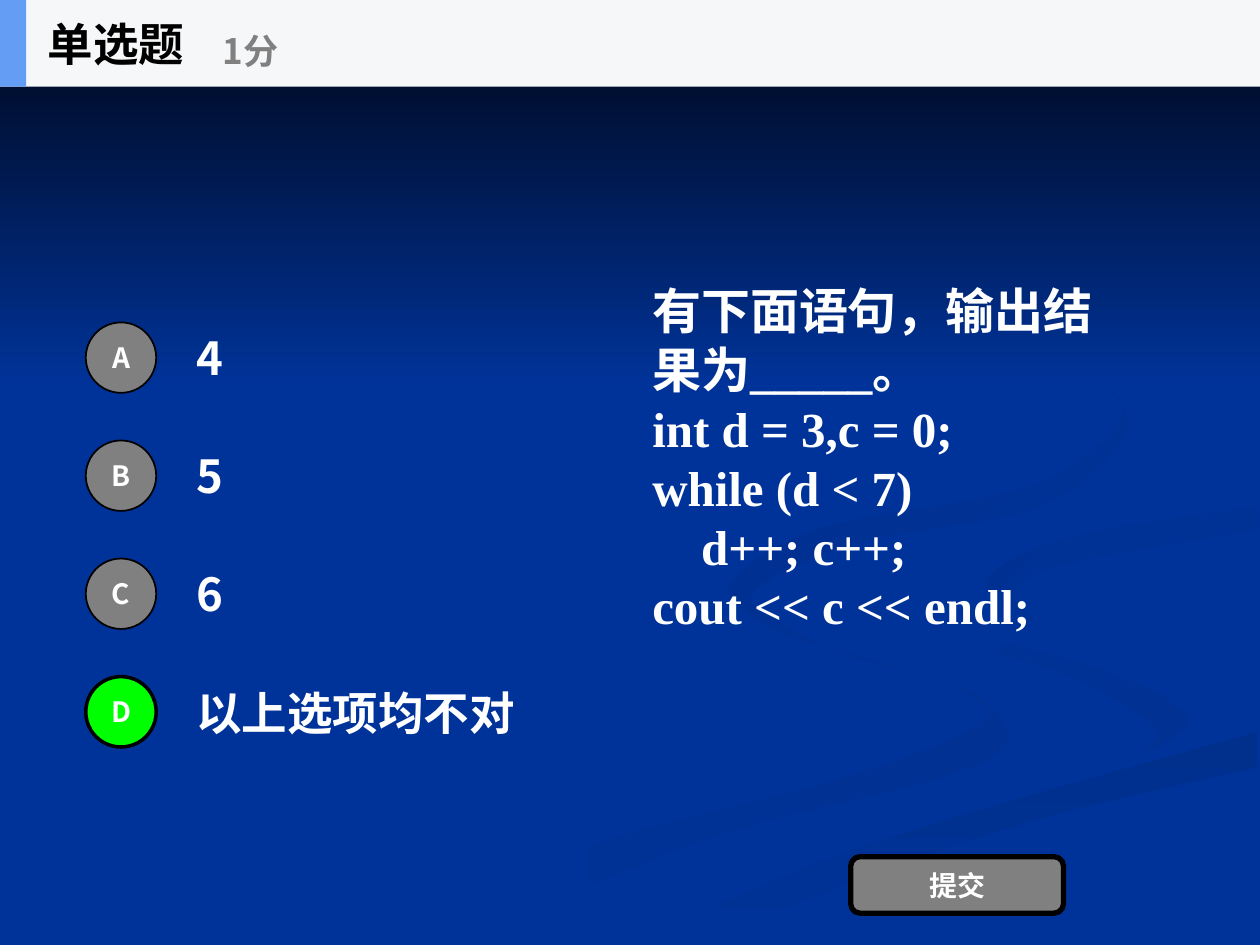
import pptx
import pptx.dml.color
import pptx.enum.shapes
import pptx.enum.text
import pptx.oxml
import pptx.oxml.ns
import pptx.util

RGBColor = pptx.dml.color.RGBColor
Cm, Pt = pptx.util.Cm, pptx.util.Pt
SHAPE = pptx.enum.shapes.MSO_SHAPE
ALIGN = pptx.enum.text.PP_ALIGN

BLUE = RGBColor(0x00, 0x33, 0x99)
MIDNIGHT = RGBColor(0x00, 0x05, 0x14)
SWIRL_FAINT = RGBColor(0x00, 0x31, 0x93)
SWIRL_SOFT = RGBColor(0x00, 0x30, 0x91)
SWIRL_MID = RGBColor(0x00, 0x2F, 0x8E)
SWIRL_DARK = RGBColor(0x00, 0x2F, 0x8C)
WHITE = RGBColor(0xFF, 0xFF, 0xFF)
BLACK = RGBColor(0x00, 0x00, 0x00)
GREY = RGBColor(0x80, 0x80, 0x80)
GREEN = RGBColor(0x00, 0xFF, 0x00)
PALE = RGBColor(0xF6, 0xF7, 0xF8)
ACCENT = RGBColor(0x63, 0x9E, 0xF4)

SANS, SERIF = "Noto Sans CJK SC", "Times New Roman"
SLIDE = (Cm(25.4), Cm(19.05))

# First colour, last colour, angle, and the two edges on a grid of 1000 by 750 over the slide
GRID = (1000, 750)
SWIRLS = [
    (BLUE, SWIRL_FAINT, 0,
     [(574, 464), (654, 513), (752, 543), (800, 581), (756, 614), (564, 665), (361, 749)],
     [(300, 749), (458, 674), (684, 613), (786, 566), (728, 535), (611, 499), (574, 464)]),
    (BLUE, SWIRL_FAINT, 45,
     [(724, 464), (758, 498), (870, 530), (943, 570), (894, 605)],
     [(894, 605), (917, 580), (854, 539), (755, 505), (724, 464)]),
    (SWIRL_DARK, BLUE, 90,
     [(503, 749), (630, 693), (764, 647), (998, 581)],
     [(998, 609), (821, 651), (649, 710), (571, 749)]),
    (SWIRL_SOFT, BLUE, 45,
     [(826, 496), (805, 472), (843, 448), (998, 420)],
     [(998, 402), (849, 427), (782, 462), (826, 496)]),
    (SWIRL_MID, BLUE, 45,
     [(880, 307), (894, 344), (825, 402), (683, 430), (597, 470), (622, 500)],
     [(622, 500), (578, 468), (649, 420), (818, 386), (889, 335), (880, 307)]),
]

OPTIONS = [("A", "4"), ("B", "5"), ("C", "6"), ("D", "以上选项均不对")]
ANSWER = "D"
QUESTION = ["有下面语句，输出结果为_____。", "int d = 3,c = 0;", "while (d < 7)",
            "    d++; c++;", "cout << c << endl;"]


def write(frame, lines, size, color=WHITE, font=SANS, align=ALIGN.LEFT, spacing=None):
    """Fill a text frame with bold, vertically centred lines."""
    frame_format = {"word_wrap": True, "auto_size": pptx.enum.text.MSO_AUTO_SIZE.NONE,
                    "vertical_anchor": pptx.enum.text.MSO_ANCHOR.MIDDLE}
    for key, value in frame_format.items():
        setattr(frame, key, value)
    for number, line in enumerate(lines):
        paragraph = frame.paragraphs[0] if number == 0 else frame.add_paragraph()
        paragraph.alignment = align
        paragraph.line_spacing = spacing
        run = paragraph.add_run()
        run.text = line
        for key, value in {"name": font, "size": Pt(size), "bold": True}.items():
            setattr(run.font, key, value)
        run.font.color.rgb = color
        east_asian = pptx.oxml.parse_xml(
            f'<a:ea {pptx.oxml.ns.nsdecls("a")} typeface="{SANS}"/>')
        run.font._element.append(east_asian)


def add_text(slide, box, lines, size, **style):
    write(slide.shapes.add_textbox(*box).text_frame, lines, size, **style)


def add_plain(slide, preset, box, fill, line_width=0):
    shape = slide.shapes.add_shape(preset, *box)
    shape.shadow.inherit = False
    shape.fill.solid()
    shape.fill.fore_color.rgb = fill
    if line_width:
        shape.line.color.rgb = BLACK
        shape.line.width = Pt(line_width)
    else:
        shape.line.fill.background()
    return shape


def shade(shape, first, last, angle):
    """Give a borderless gradient; the angle runs clockwise from left to right."""
    shape.shadow.inherit = False
    shape.line.fill.background()
    shape.fill.gradient()
    shape.fill.gradient_angle = -angle % 360
    for stop, color, position in zip(shape.fill.gradient_stops, (first, last), (0, 1)):
        stop.color.rgb = color
        stop.position = position


def smooth_edge(points, steps=6):
    """Return points on a Catmull-Rom curve through the given ones."""
    padded = [points[0], *points, points[-1]]
    curve = []
    for a, b, c, d in zip(padded, padded[1:], padded[2:], padded[3:]):
        for step in range(steps):
            t = step / steps
            curve.append(tuple(
                q + t / 2 * (r - p + t * (2 * p - 5 * q + 4 * r - s + t * (3 * (q - r) + s - p)))
                for p, q, r, s in zip(a, b, c, d)))
    return curve + [points[-1]]


def add_backdrop(slide, box):
    left, top, width, height = box
    slide.background.fill.solid()
    slide.background.fill.fore_color.rgb = BLUE
    for first, last, angle, near_edge, far_edge in SWIRLS:
        outline = [(left + width * x / GRID[0], top + height * y / GRID[1])
                   for x, y in smooth_edge(near_edge) + smooth_edge(far_edge)]
        builder = slide.shapes.build_freeform(*outline[0])
        builder.add_line_segments(outline[1:], close=True)
        shade(builder.convert_to_shape(), first, last, angle)
    night = slide.shapes.add_shape(SHAPE.RECTANGLE, left, top, width, Cm(7.82))
    shade(night, MIDNIGHT, BLUE, 90)


def add_options(slide, box):
    left, top, width, height = box
    row, badge, indent = Cm(1.78), Cm(1.42), Cm(1.98)
    pitch = (height - row) // (len(OPTIONS) - 1)
    for number, (letter, answer) in enumerate(OPTIONS):
        y = top + number * pitch
        add_text(slide, (left + indent, y, width - indent, row), [answer], 26)
        fill, line_width = (GREEN, 2) if letter == ANSWER else (GREY, 1)
        circle = add_plain(slide, SHAPE.OVAL, (left, y + (row - badge) // 2, badge, badge),
                           fill, line_width)
        write(circle.text_frame, [letter], 16, align=ALIGN.CENTER)


def add_submit(slide, box):
    button = add_plain(slide, SHAPE.ROUNDED_RECTANGLE, box, GREY, 3)
    write(button.text_frame, ["提交"], 16, align=ALIGN.CENTER)


def add_header(slide, box):
    left, top, width, height = box
    add_plain(slide, SHAPE.RECTANGLE, box, PALE)
    add_plain(slide, SHAPE.RECTANGLE, (left, top, Cm(0.53), height), ACCENT)
    title = slide.shapes.title
    place = {"left": left + Cm(0.71), "top": top, "width": Cm(5.28), "height": height}
    for key, value in place.items():
        setattr(title, key, value)
    write(title.text_frame, ["单选题"], 26, color=BLACK)
    title.element.getparent().append(title.element)  # bring in front of the bar
    add_text(slide, (left + Cm(4.24), top + Cm(0.3), Cm(6.35), Cm(1.42)), ["1分"], 20,
             color=GREY)


def main():
    deck = pptx.Presentation()
    deck.slide_width, deck.slide_height = SLIDE
    slide = deck.slides.add_slide(deck.slide_layouts[5])
    add_backdrop(slide, (0, 0, *SLIDE))
    add_text(slide, (Cm(12.9), Cm(3.94), Cm(9.55), Cm(10.57)), QUESTION, 28,
             font=SERIF, spacing=Pt(33.7))
    add_options(slide, (Cm(1.73), Cm(6.32), Cm(10), Cm(8.92)))
    add_submit(slide, (Cm(17.15), Cm(17.27), Cm(4.29), Cm(1.14)))
    add_header(slide, (0, 0, SLIDE[0], Cm(1.75)))
    deck.save("out.pptx")


if __name__ == "__main__":
    main()
